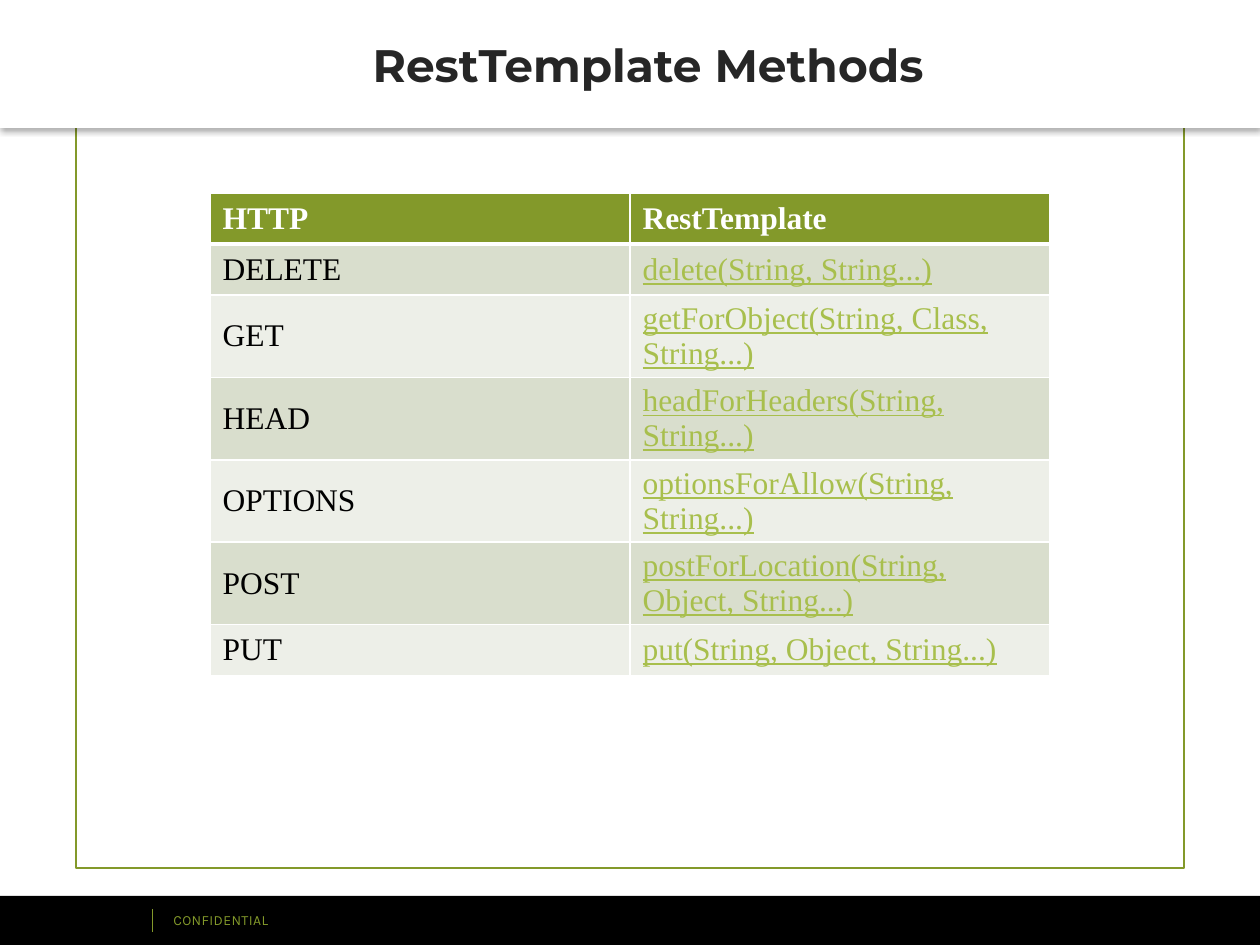
import pptx
import pptx.dml.color
import pptx.enum.shapes
import pptx.enum.text
import pptx.oxml
import pptx.oxml.ns
import pptx.util

RGB = pptx.dml.color.RGBColor
GREEN = RGB(0x83, 0x99, 0x2A)
LINK = RGB(0xA8, 0xBF, 0x4D)
BAND_DARK = RGB(0xD9, 0xDE, 0xCD)
BAND_LIGHT = RGB(0xED, 0xEF, 0xE8)
CHARCOAL = RGB(0x26, 0x26, 0x26)
WHITE = RGB(0xFF, 0xFF, 0xFF)
BLACK = RGB(0, 0, 0)

METHODS = [
    ("HTTP", "RestTemplate", 51),
    ("DELETE", "delete(String, String...)", 51),
    ("GET", "getForObject(String, Class, String...)", 82),
    ("HEAD", "headForHeaders(String, String...)", 82),
    ("OPTIONS", "optionsForAllow(String, String...)", 82),
    ("POST", "postForLocation(String, Object, String...)", 82),
    ("PUT", "put(String, Object, String...)", 51),
]


def px(n):
    return pptx.util.Emu(round(n * 914400 / 126))


def xml(body):
    tag, rest = body[1:].split(" ", 1)
    return pptx.oxml.parse_xml(f"<{tag} {pptx.oxml.ns.nsdecls('a')} {rest}")


def write(tf, text, font, size, color, bold=False, underline=False, align=None, spacing=None):
    p = tf.paragraphs[0]
    p.alignment = align
    r = p.add_run()
    r.text = text
    r.font.name = font
    r.font.size = pptx.util.Pt(size)
    r.font.bold = bold
    r.font.underline = underline
    r.font.color.rgb = color
    if spacing is not None:
        r.font._element.set("spc", str(spacing))
    return p


class Deck:
    body_font = "Times New Roman"
    title_font = "Montserrat"
    label_font = "Karla"

    def __init__(self):
        self.prs = pptx.Presentation()
        self.prs.slide_width = px(1260)
        self.prs.slide_height = px(945)
        self.s = self.prs.slides.add_slide(self.prs.slide_layouts[5])

    def rect(self, x, y, w, h, fill=None, line=None, width=1.25):
        sp = self.s.shapes.add_shape(
            pptx.enum.shapes.MSO_SHAPE.RECTANGLE, px(x), px(y), px(w), px(h))
        sp.shadow.inherit = False
        if fill is None:
            sp.fill.background()
        else:
            sp.fill.solid()
            sp.fill.fore_color.rgb = fill
        if line is None:
            sp.line.fill.background()
        else:
            sp.line.color.rgb = line
            sp.line.width = pptx.util.Pt(width)

    def rule(self, x1, y1, x2, y2, color, width):
        c = self.s.shapes.add_connector(
            pptx.enum.shapes.MSO_CONNECTOR.STRAIGHT, px(x1), px(y1), px(x2), px(y2))
        c.line.color.rgb = color
        c.line.width = pptx.util.Pt(width)
        c._element.spPr.append(xml("<a:effectLst />"))

    def label(self, x, y, w, h, text, **style):
        tf = self.s.shapes.add_textbox(px(x), px(y), px(w), px(h)).text_frame
        tf.word_wrap = True
        tf.auto_size = pptx.enum.text.MSO_AUTO_SIZE.SHAPE_TO_FIT_TEXT
        write(tf, text, self.label_font, **style)

    def title(self, x, y, w, h, text):
        sp = self.s.shapes.title
        sp.left, sp.top, sp.width, sp.height = px(x), px(y), px(w), px(h)
        sp.fill.solid()
        sp.fill.fore_color.rgb = WHITE
        sp.line.fill.background()
        sp._element.spPr.append(xml(
            '<a:effectLst ><a:outerShdw blurRad="39370" dist="25400" dir="5400000" '
            'algn="t" rotWithShape="0"><a:srgbClr val="000000"><a:alpha val="30000"/>'
            '</a:srgbClr></a:outerShdw></a:effectLst>'))
        tf = sp.text_frame
        tf.word_wrap = True
        tf.auto_size = pptx.enum.text.MSO_AUTO_SIZE.NONE
        tf.vertical_anchor = pptx.enum.text.MSO_ANCHOR.MIDDLE
        tf.margin_left, tf.margin_right = px(50), px(13)
        tf.margin_top = tf.margin_bottom = px(6)
        p = write(tf, text, self.title_font, size=26, color=CHARCOAL, bold=True,
                  align=pptx.enum.text.PP_ALIGN.CENTER)
        p.space_after = pptx.util.Pt(6)
        self.s.shapes._spTree.append(sp._element)

    def cell(self, cell, text, fill, borders, **style):
        tcPr = cell._tc.get_or_add_tcPr()
        for side, width in borders.items():
            tcPr.append(xml(
                f'<a:ln{side} w="{pptx.util.Pt(width)}"><a:solidFill>'
                f'<a:srgbClr val="{WHITE}"/></a:solidFill></a:ln{side}>'))
        cell.fill.solid()
        cell.fill.fore_color.rgb = fill
        cell.vertical_anchor = pptx.enum.text.MSO_ANCHOR.MIDDLE
        write(cell.text_frame, text, self.body_font, size=18, **style)

    def table(self, x, y, w, rows):
        height = sum(row[-1] for row in rows)
        table = self.s.shapes.add_table(
            len(rows), 2, px(x), px(y), px(w), px(height)).table
        for col in table.columns:
            col.width = px(w / 2)
        for i, (verb, method, h) in enumerate(rows):
            table.rows[i].height = px(h)
            header = i == 0
            fill = GREEN if header else BAND_DARK if i % 2 else BAND_LIGHT
            borders = {"L": 1, "R": 1, "T": 3 if i == 1 else 1, "B": 3 if header else 1}
            for j, text in enumerate((verb, method)):
                color = WHITE if header else LINK if j else BLACK
                self.cell(table.cell(i, j), text, fill, borders, color=color,
                          bold=header, underline=bool(j) and not header)


def main():
    deck = Deck()
    deck.rect(76, 74, 1108, 794, line=GREEN)
    deck.rect(0, 896, 1260, 50, fill=BLACK)
    deck.label(161, 905, 319, 30, "CONFIDENTIAL", size=8, color=GREEN, spacing=20)
    deck.rule(152, 909, 152, 932, GREEN, 0.25)
    deck.title(0, 0, 1260, 128, "RestTemplate Methods")
    deck.table(210, 193, 840, METHODS)
    deck.prs.save("out.pptx")


if __name__ == "__main__":
    main()
